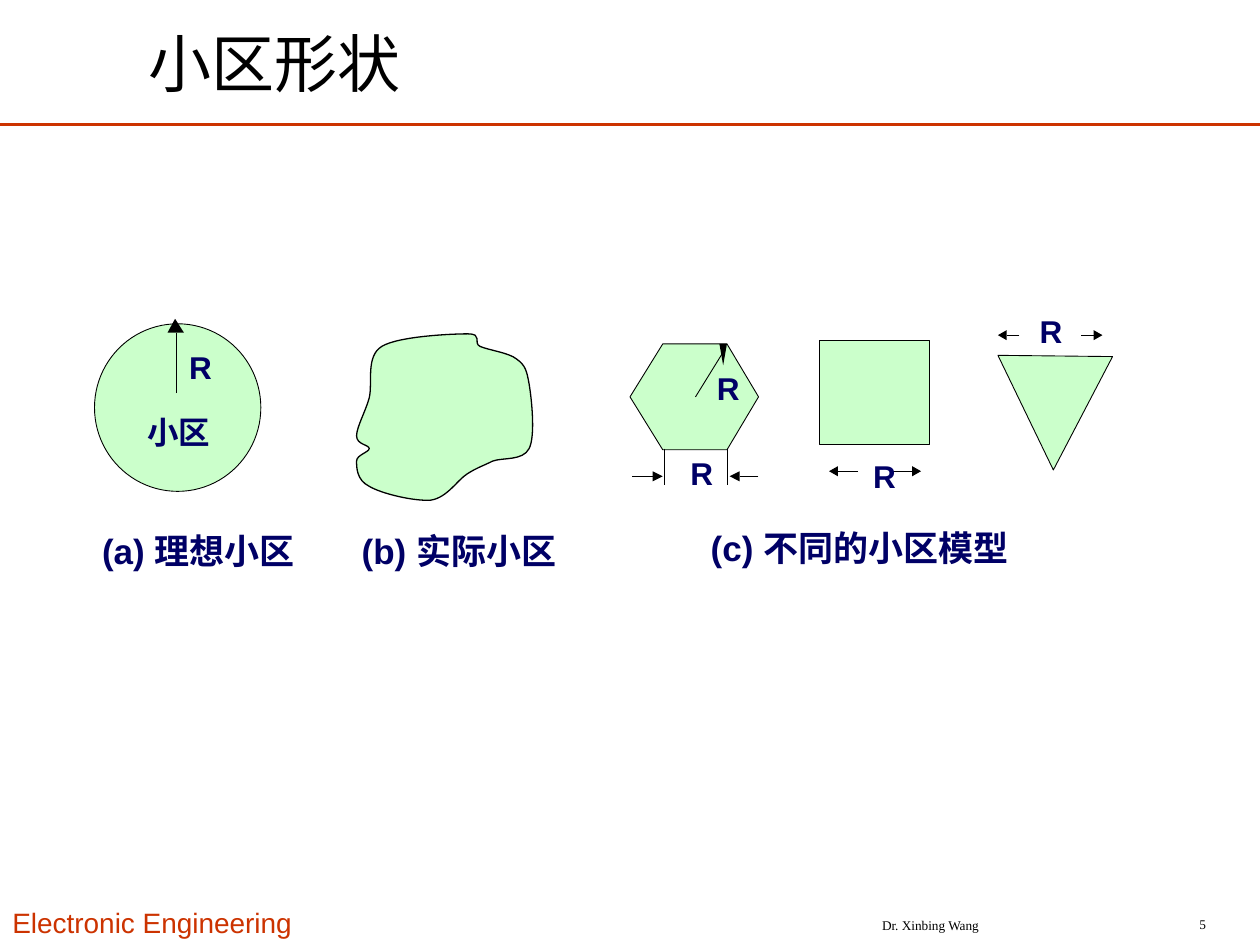
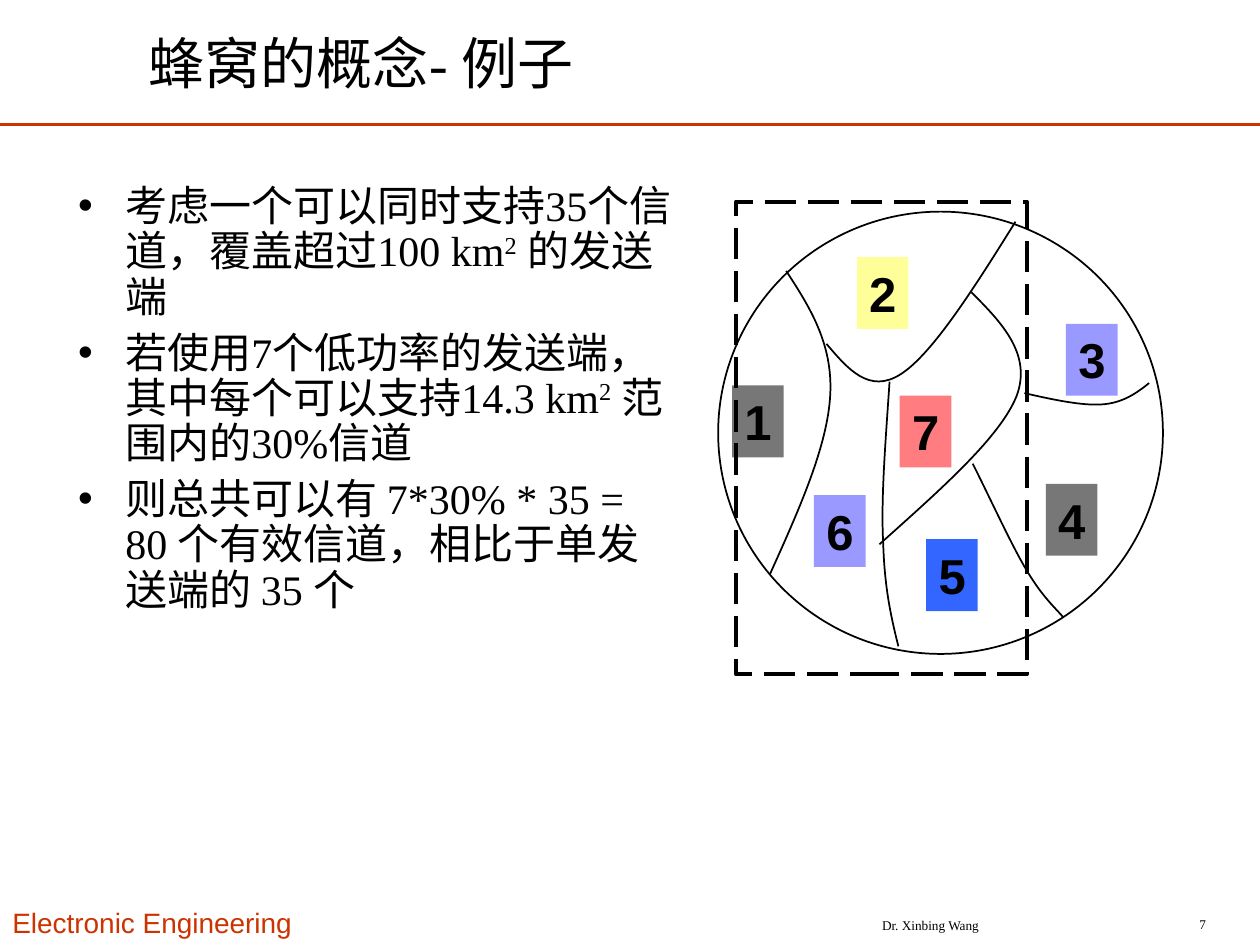
from lxml import etree
from pptx import Presentation
from pptx.dml.color import RGBColor
from pptx.enum.dml import MSO_LINE
from pptx.enum.shapes import MSO_CONNECTOR, MSO_SHAPE
from pptx.enum.text import MSO_ANCHOR, MSO_AUTO_SIZE, PP_ALIGN
from pptx.oxml.ns import qn
from pptx.util import Inches, Pt

LEFT, CENTER, RIGHT = PP_ALIGN.LEFT, PP_ALIGN.CENTER, PP_ALIGN.RIGHT
TOP, MIDDLE = MSO_ANCHOR.TOP, MSO_ANCHOR.MIDDLE
FIXED, GROW = MSO_AUTO_SIZE.NONE, MSO_AUTO_SIZE.SHAPE_TO_FIT_TEXT
STRAIGHT = MSO_CONNECTOR.STRAIGHT
OVAL, RECTANGLE = MSO_SHAPE.OVAL, MSO_SHAPE.RECTANGLE
LONG_DASH = MSO_LINE.LONG_DASH

SERIF, SANS = "Times New Roman", "Arial"
THEME = {
    "black": "000000", "rule": "CC3300", "cell": "99FF99",
    "gray": "777777", "yellow": "FFFF99", "violet": "9999FF",
    "blue": "3366FF", "red": "FF7C80",
    "title": {"name": SERIF, "size": 36, "color": "000000"},
    "long title": {"name": SERIF, "size": 32, "color": "000000"},
    "body": {"name": SERIF, "size": 24, "color": "000000"},
    "department": {"name": SANS, "size": 16, "color": "CC3300"},
    "footer": {"name": SERIF, "size": 7.6, "color": "000000"},
    "label": {"name": SANS, "size": 18, "color": "000066", "bold": True},
    "caption": {"name": SANS, "size": 20, "color": "000066", "bold": True},
    "number": {"name": SANS, "size": 28, "color": "000000", "bold": True},
}


def write(shape, paragraphs, style, frame_format, align=LEFT):
    """Fill a shape with paragraphs; "^" marks the next run as superscript."""
    frame = shape.text_frame
    for name, value in frame_format.items():
        setattr(frame, name, value)
    for index, text in enumerate(paragraphs):
        para = frame.paragraphs[0] if index == 0 else frame.add_paragraph()
        para.alignment = align
        para.space_before = Pt(0)
        for part_index, part in enumerate(text.split("^")):
            span = para.add_run()
            span.text = part
            for name, value in THEME[style].items():
                if name == "color":
                    span.font.color.rgb = RGBColor.from_string(value)
                else:
                    setattr(span.font, name, Pt(value) if name == "size" else value)
            if part_index % 2:
                span._r.get_or_add_rPr().set("baseline", "30000")


def paint(shape, fill=None, width=None, opacity=None):
    """Set fill and black outline; None leaves that part out."""
    shape.shadow.inherit = False
    if fill:
        shape.fill.solid()
        shape.fill.fore_color.rgb = RGBColor.from_string(fill)
    else:
        shape.fill.background()
    if opacity:
        color = shape.fill._xPr.find(".//" + qn("a:srgbClr"))
        etree.SubElement(color, qn("a:alpha"), val=str(opacity * 1000))
    if width:
        shape.line.color.rgb = RGBColor.from_string(THEME["black"])
        shape.line.width = Pt(width)
    else:
        shape.line.fill.background()


tight = {"word_wrap": False, "auto_size": GROW, "vertical_anchor": TOP,
         "margin_left": 0, "margin_right": 0, "margin_top": 0, "margin_bottom": 0}
padded = {"word_wrap": True, "auto_size": FIXED, "vertical_anchor": MIDDLE}
top_padded = {**padded, "vertical_anchor": TOP}
tile_format = {"word_wrap": False, "auto_size": GROW, "vertical_anchor": TOP}

deck = Presentation()
deck.slide_width, deck.slide_height = Inches(10), Inches(7.5)
shape_page = deck.slides.add_slide(deck.slide_layouts[5])
example_page = deck.slides.add_slide(deck.slide_layouts[1])

# Rule, title and footers on every page
for page, title, title_style, number in [
    (shape_page, "小区形状", "title", "5"),
    (example_page, "蜂窝的概念- 例子", "long title", "7"),
]:
    rule = page.shapes.add_connector(STRAIGHT, 0, Inches(0.99), Inches(10), Inches(0.99))
    rule.line.color.rgb = RGBColor.from_string(THEME["rule"])
    rule.line.width = Pt(1.5)
    etree.SubElement(rule._element.spPr, qn("a:effectLst"))

    heading = page.shapes.title
    heading.left, heading.top, heading.width, heading.height = map(
        Inches, (1.08, 0.15, 6.63, 0.69))
    write(heading, [title], title_style, padded)

    for text, box, style, frame_format, align in [
        ("Electronic Engineering", (0, 7.14, 2.55, 0.36), "department", top_padded, LEFT),
        ("Dr. Xinbing Wang", (6.17, 7.22, 2.43, 0.25), "footer", padded, CENTER),
        (number, (8.84, 7.21, 0.83, 0.25), "footer", padded, RIGHT),
    ]:
        footer = page.shapes.add_textbox(*map(Inches, box))
        write(footer, [text], style, frame_format, align)

# Cell shapes: preset outlines
for preset, box in [(OVAL, (0.75, 2.57, 1.32, 1.33)), (RECTANGLE, (6.5, 2.7, 0.88, 0.83))]:
    cell = shape_page.shapes.add_shape(preset, *map(Inches, box))
    paint(cell, THEME["cell"], 0.5, 50)

# Straight outlines list corners; curved ones list a start and three points per curve
hexagon = [(5.26, 2.73), (5, 3.15), (5.26, 3.57), (5.77, 3.57), (6.02, 3.15), (5.77, 2.73)]
triangle = [(8.36, 3.73), (8.83, 2.83), (7.92, 2.82)]
real_cell = [
    (3.71, 2.65), (3.58, 2.65), (3.16, 2.67), (3.03, 2.75),
    (2.9, 2.83), (2.96, 3.04), (2.93, 3.16), (2.9, 3.27), (2.83, 3.39), (2.83, 3.46),
    (2.83, 3.53), (2.93, 3.53), (2.93, 3.56), (2.93, 3.59), (2.83, 3.61), (2.83, 3.66),
    (2.83, 3.71), (2.83, 3.81), (2.93, 3.86), (3.03, 3.92), (3.29, 3.98), (3.42, 3.97),
    (3.55, 3.95), (3.63, 3.81), (3.71, 3.76), (3.79, 3.71), (3.83, 3.7), (3.91, 3.66),
    (3.99, 3.63), (4.15, 3.66), (4.2, 3.56), (4.25, 3.46), (4.22, 3.17), (4.2, 3.05),
    (4.18, 2.94), (4.17, 2.9), (4.1, 2.85), (4.04, 2.8), (3.88, 2.78), (3.81, 2.75),
    (3.75, 2.72), (3.84, 2.65), (3.71, 2.65),
]
borders = [
    [(6.24, 2.15), (6.43, 2.44), (6.61, 2.73), (6.59, 3.13),
     (6.57, 3.54), (6.34, 4.05), (6.11, 4.56)],
    [(6.56, 2.73), (6.73, 2.93), (6.9, 3.13), (7.15, 2.97),
     (7.4, 2.81), (7.73, 2.29), (8.06, 1.76)],
    [(7.06, 3.03), (7.03, 3.49), (6.99, 3.96), (7.01, 4.31),
     (7.02, 4.66), (7.07, 4.89), (7.13, 5.13)],
    [(7.71, 2.32), (7.95, 2.56), (8.19, 2.81), (8.07, 3.14),
     (7.94, 3.47), (7.46, 3.89), (6.98, 4.32)],
    [(7.72, 3.68), (7.88, 4), (8.03, 4.33), (8.15, 4.53),
     (8.27, 4.73), (8.36, 4.81), (8.44, 4.9)],
    [(8.13, 3.12), (8.35, 3.17), (8.58, 3.22), (8.74, 3.21),
     (8.91, 3.2), (9.02, 3.12), (9.12, 3.04)],
]
coverage = example_page.shapes.add_shape(OVAL, *map(Inches, (5.7, 1.68, 3.53, 3.51)))
paint(coverage, width=1)

# Radius and width marks: shafts with solid heads, and the hexagon's extension lines
shafts = [(1.4, 3.12, 1.4, 2.64), (5.52, 3.15, 5.73, 2.81),
          (5.27, 3.56, 5.27, 3.85), (5.77, 3.56, 5.77, 3.85)]
heads = [[(1.46, 2.64), (1.39, 2.53), (1.33, 2.64)],
         [(5.71, 2.73), (5.77, 2.73), (5.74, 2.9)]]
for start, neck, tip, y in [
    (6.81, 6.65, 6.58, 3.74), (7.08, 7.24, 7.31, 3.74),
    (5.02, 5.18, 5.26, 3.78), (6.02, 5.87, 5.79, 3.78),
    (8.09, 7.99, 7.92, 2.66), (8.58, 8.68, 8.75, 2.66),
]:
    shafts.append((start, y, neck, y))
    heads.append([(neck, y - 0.04), (tip, y), (neck, y + 0.04)])

for ends in shafts:
    shaft = shape_page.shapes.add_connector(STRAIGHT, *map(Inches, ends))
    shaft.line.color.rgb = RGBColor.from_string(THEME["black"])
    shaft.line.width = Pt(0.5)
    etree.SubElement(shaft._element.spPr, qn("a:effectLst"))

cell_paint = {"fill": THEME["cell"], "opacity": 50}
for page, points, curved, closed, look in [
    (shape_page, hexagon, False, True, {**cell_paint, "width": 0.5}),
    (shape_page, triangle, False, True, {**cell_paint, "width": 0.5}),
    (shape_page, real_cell, True, True, {**cell_paint, "width": 0.75}),
    *[(shape_page, head, False, True, {"fill": THEME["black"]}) for head in heads],
    *[(example_page, border, True, False, {"width": 1}) for border in borders],
]:
    corners = [(Inches(x), Inches(y)) for x, y in points]
    builder = page.shapes.build_freeform(*corners[0])
    builder.add_line_segments(corners[1:], close=closed)
    outline = builder.convert_to_shape()
    paint(outline, **look)
    if curved:
        segments = list(outline._element.iter(qn("a:lnTo")))
        for first in range(0, len(points) - 1, 3):
            curve = etree.Element(qn("a:cubicBezTo"))
            segments[first].addprevious(curve)
            for segment in segments[first:first + 3]:
                curve.append(segment[0])
                segment.getparent().remove(segment)

# Sends the shafts in front of the cells they measure
for shaft in [shape for shape in shape_page.shapes if shape._element.tag == qn("p:cxnSp")]:
    shape_page.shapes._spTree.append(shaft._element)

radius_places = [(1.5, 2.76), (5.69, 2.93), (5.48, 3.6), (6.93, 3.63), (8.25, 2.48)]
for text, box, style in [
    *[("R", (x, y, 0.18, 0.3), "label") for x, y in radius_places],
    ("小区", (1.17, 3.28, 0.5, 0.3), "label"),
    ("(a) 理想小区", (0.81, 4.2, 1.65, 0.33), "caption"),
    ("(b) 实际小区", (2.87, 4.2, 1.65, 0.33), "caption"),
    ("(c) 不同的小区模型", (5.64, 4.18, 2.48, 0.33), "caption"),
]:
    label = shape_page.shapes.add_textbox(*map(Inches, box))
    write(label, [text], style, tight)

# Numbered cells inside the coverage area
for number, (left, top, color) in enumerate([
    (5.81, 3.06, "gray"), (6.8, 2.04, "yellow"), (8.46, 2.57, "violet"),
    (8.3, 3.84, "gray"), (7.35, 4.28, "blue"), (6.46, 3.93, "violet"),
    (7.14, 3.14, "red"),
], start=1):
    tile = example_page.shapes.add_shape(RECTANGLE, *map(Inches, (left, top, 0.41, 0.57)))
    paint(tile, THEME[color])
    write(tile, [str(number)], "number", tile_format, CENTER)

zone = example_page.shapes.add_shape(RECTANGLE, *map(Inches, (5.84, 1.6, 2.31, 3.75)))
paint(zone, width=2.25)
zone.line.dash_style = LONG_DASH

# Worked example
body = example_page.placeholders[1]
body.left, body.top, body.width, body.height = map(Inches, (0.52, 1.42, 4.93, 4.72))
write(body, [
    "考虑一个可以同时支持35个信道，覆盖超过100 km^2^ 的发送端",
    "若使用7个低功率的发送端，其中每个可以支持14.3 km^2^ 范围内的30%信道",
    "则总共可以有 7*30% * 35 = 80 个有效信道，相比于单发送端的 35 个",
], "body", top_padded)
for index, para in enumerate(body.text_frame.paragraphs):
    para.line_spacing = 0.9
    para.space_before = Pt(6 if index else 0)
    properties = para._p.get_or_add_pPr()
    properties.set("marL", str(Pt(27)))
    properties.set("indent", str(-Pt(27)))
    etree.SubElement(properties, qn("a:buChar"), char="•")

deck.save("out.pptx")
